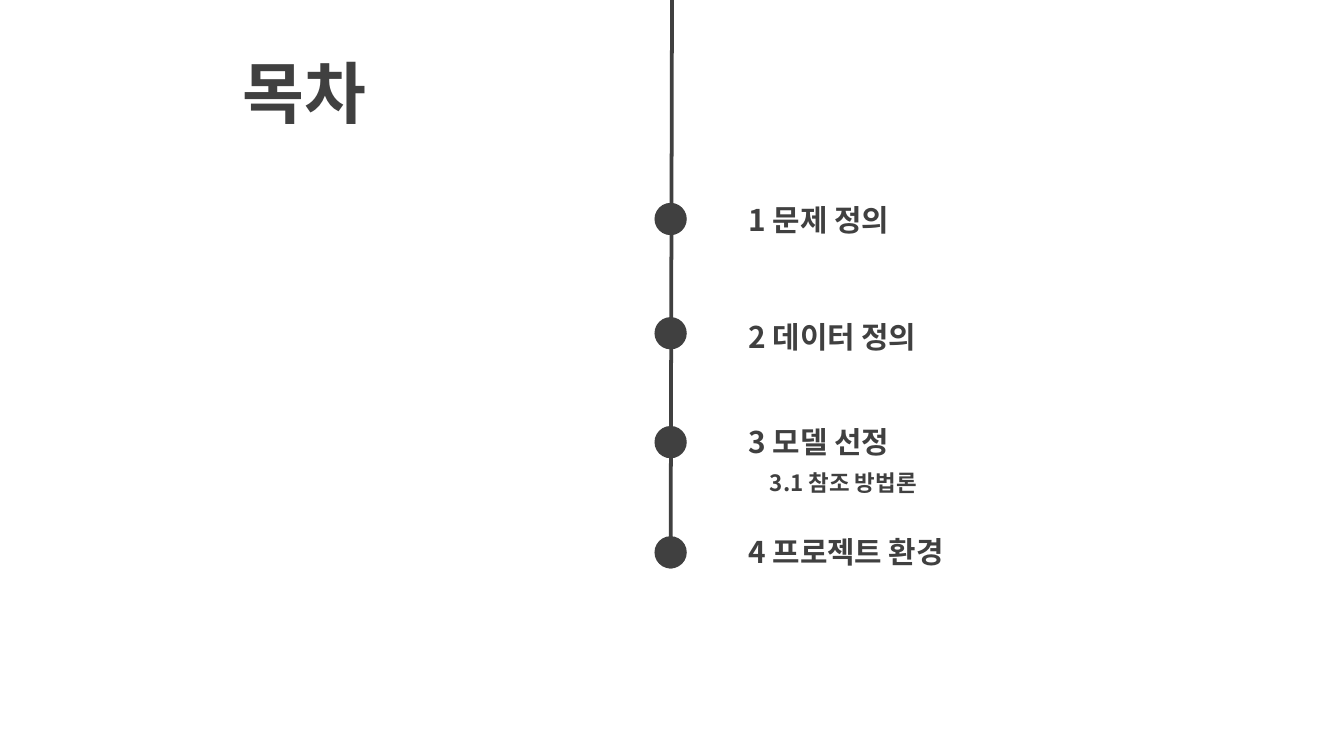
from lxml.etree import SubElement
from pptx import Presentation
from pptx.dml.color import RGBColor
from pptx.enum.shapes import MSO_CONNECTOR as Connector, MSO_SHAPE as Shape
from pptx.enum.text import MSO_ANCHOR as Anchor, PP_ALIGN as Align
from pptx.oxml.ns import qn
from pptx.util import Inches, Pt

INK = RGBColor(0x40, 0x40, 0x40)
FONT = "Noto Sans CJK KR"
WIDTH = 10
HEIGHT = WIDTH * 9 / 16
DOT = 0.24
CHAPTERS = [
    ("1 문제 정의", 1.51, 1.45),
    ("2 데이터 정의", 2.36, 2.32),
    ("3 모델 선정", 3.17, 3.1),
    ("4 프로젝트 환경", 3.99, 3.92),
]
SECTION = "3.1 참조 방법론"


def add_text(page, box, text, size, align=Align.LEFT, anchor=Anchor.TOP):
    """Place one bold line of text in a box given in inches."""
    frame = page.shapes.add_textbox(*map(Inches, box)).text_frame
    frame.word_wrap = True
    frame.vertical_anchor = anchor
    para = frame.paragraphs[0]
    para.text = text
    para.alignment = align
    font = para.font
    font.name, font.size, font.bold = FONT, Pt(size), True
    font.color.rgb = INK
    span = para.runs[0]
    span.font.name = FONT
    SubElement(span.font._element, qn("a:ea"), typeface=FONT)


def add_timeline(page, box, dot_tops):
    """Draw the spine down the box and a dot at each top."""
    left, top, width, height = box
    middle = left + width / 2
    spine = page.shapes.add_connector(
        Connector.STRAIGHT, Inches(middle + 0.01), Inches(top),
        Inches(middle), Inches(top + height))
    spine.line.color.rgb = INK
    spine.line.width = Pt(2)
    SubElement(spine._element.spPr, qn("a:effectLst"))
    for dot_top in dot_tops:
        dot = page.shapes.add_shape(
            Shape.FLOWCHART_CONNECTOR, Inches(left), Inches(top + dot_top),
            Inches(width), Inches(width))
        dot.shadow.inherit = False
        dot.fill.solid()
        dot.fill.fore_color.rgb = INK
        dot.line.fill.background()


def add_contents(page, box):
    """List the chapters, and the section under the third, within the box."""
    left, top, width, height = box
    for text, _, row_top in CHAPTERS:
        add_text(page, (left, top + row_top, width, height), text, 16)
    section_top = CHAPTERS[2][2] + 0.34
    add_text(page, (left + 0.16, top + section_top, width - 0.35, 0.3), SECTION, 12)


deck = Presentation()
deck.slide_width, deck.slide_height = Inches(WIDTH), Inches(HEIGHT)
page = deck.slides.add_slide(deck.slide_layouts[6])
add_text(page, (0, 0.37, 4.53, 0.63), "목차", 36, Align.CENTER, Anchor.MIDDLE)
add_timeline(page, (4.87, 0, DOT, 4.23), [dot_top for _, dot_top, _ in CHAPTERS])
add_contents(page, (5.47, 0, 3.86, 0.37))
deck.save("out.pptx")
